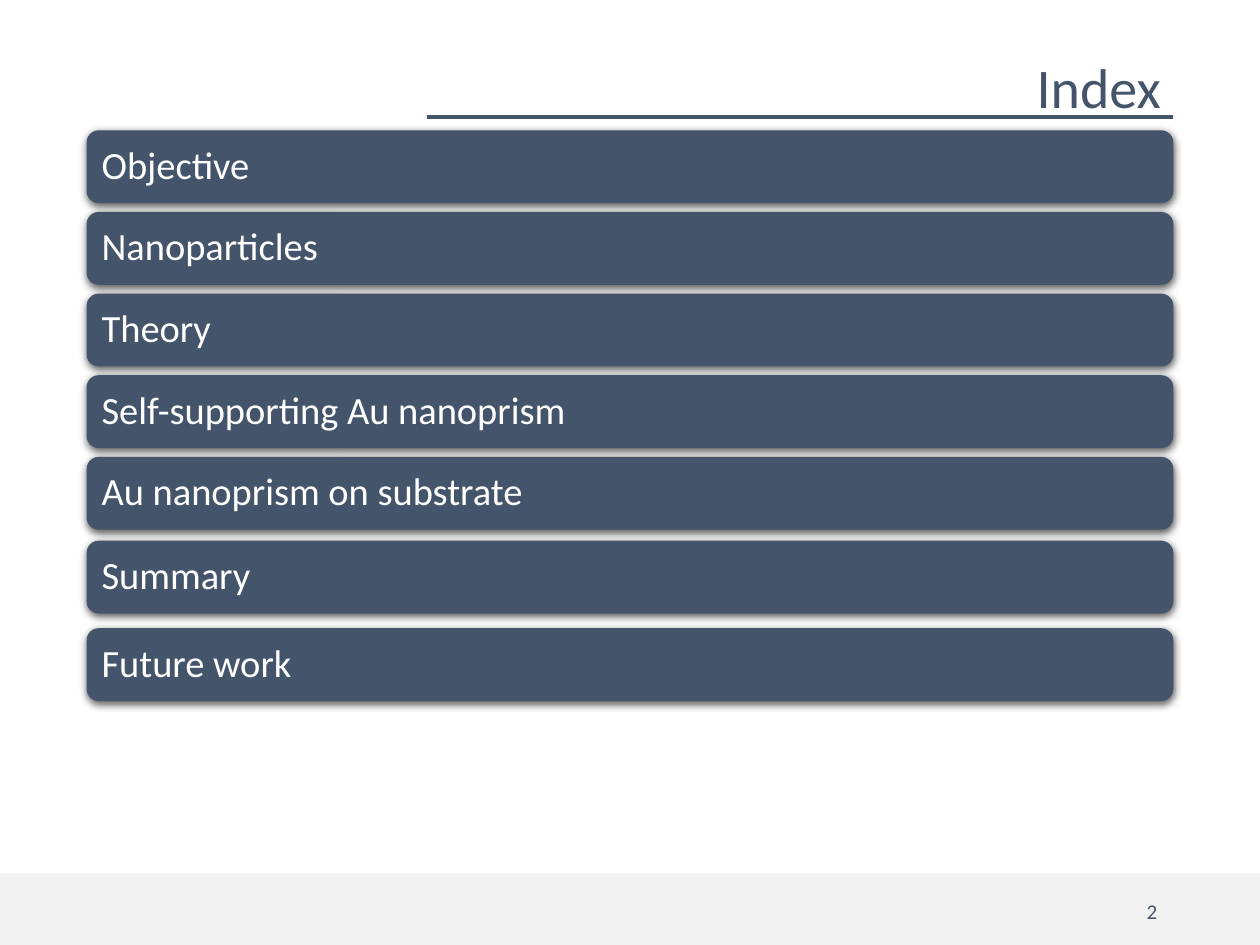
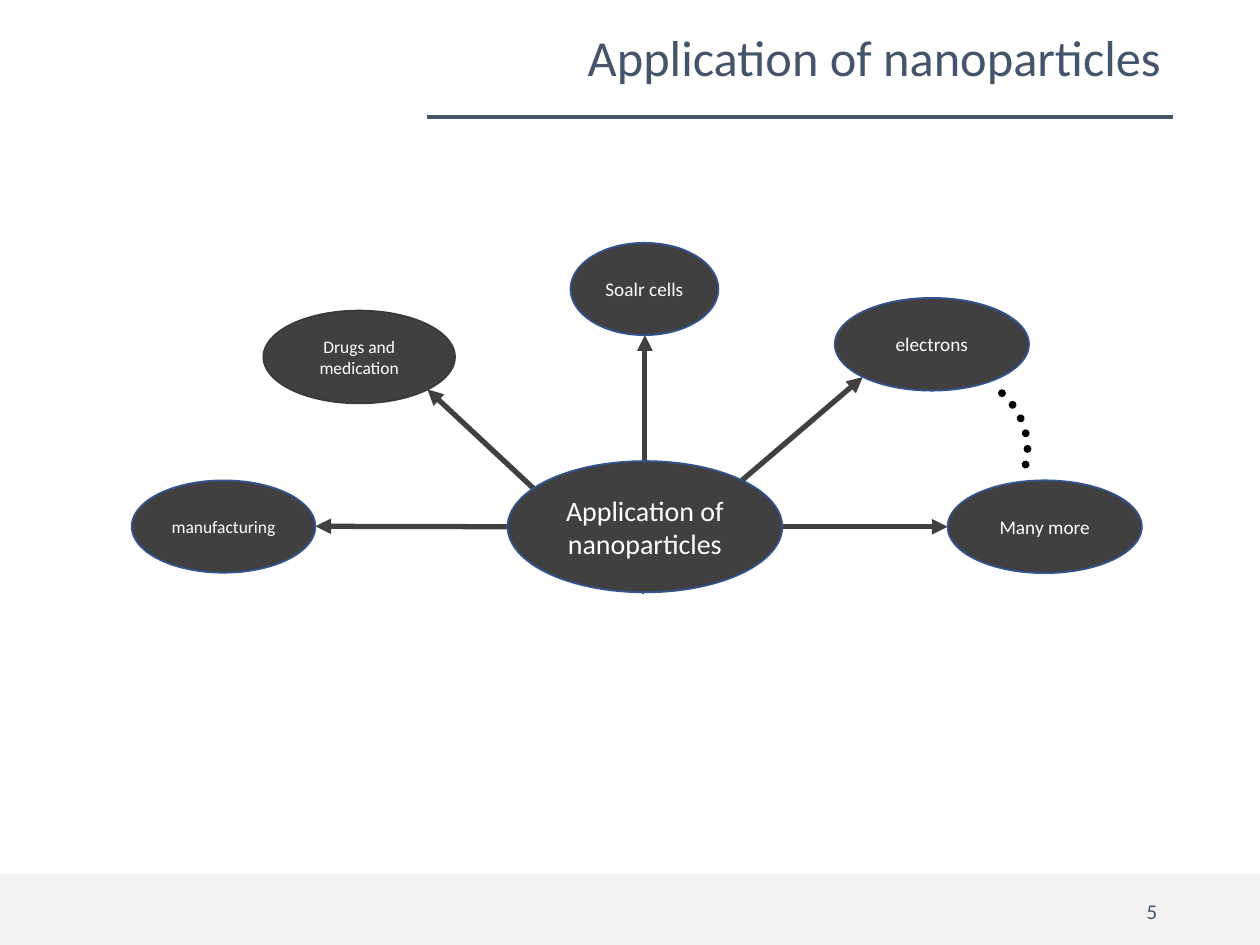
from dataclasses import dataclass
from typing import Any

from lxml.etree import SubElement
from pptx import Presentation
from pptx.dml.color import RGBColor
from pptx.enum.dml import MSO_LINE
from pptx.enum.shapes import MSO_CONNECTOR, MSO_SHAPE
from pptx.enum.text import MSO_ANCHOR as Anchor, PP_ALIGN as Align
from pptx.oxml.ns import qn
from pptx.util import Pt

SLATE = RGBColor(0x44, 0x54, 0x6A)
FOOTER_GREY = RGBColor(0xF2, 0xF2, 0xF2)
CHARCOAL = RGBColor(0x40, 0x40, 0x40)
BROWN_GREY = RGBColor(0x3B, 0x38, 0x38)
OUTLINE_BLUE = RGBColor(0x32, 0x54, 0x91)
WHITE = RGBColor(0xFF, 0xFF, 0xFF)
BLACK = RGBColor(0x00, 0x00, 0x00)
FONT = "Calibri"

MARGIN, CONTENT_WIDTH = 49.5, 621
BAR_HEIGHT, BAR_TOP, BAR_STEP = 41.6, 74.5, 46.65
TOPICS = ["Objective", "Nanoparticles", "Theory",
          "Self-supporting Au nanoprism", "Au nanoprism on substrate"]


@dataclass(frozen=True)
class Box:
    """A position and size in points."""
    left: float
    top: float
    width: float
    height: float

    def lengths(self) -> list[Pt]:
        """Return the four lengths for a shape call."""
        return [Pt(value) for value in (self.left, self.top, self.width, self.height)]


@dataclass(frozen=True)
class Bar:
    """A topic bar of the index."""
    text: str
    top: float


@dataclass(frozen=True)
class Bubble:
    """An ellipse of the application diagram."""
    text: str
    box: Box
    size: float
    outline: RGBColor = OUTLINE_BLUE


@dataclass(frozen=True)
class Arrow:
    """A straight arrow between two points."""
    start: tuple[float, float]
    end: tuple[float, float]


BARS = [Bar(text, BAR_TOP + row * BAR_STEP) for row, text in enumerate(TOPICS)]
BARS += [Bar("Summary", 309), Bar("Future work", 359)]

BUBBLES = [
    Bubble("Application of nanoparticles", Box(290, 263.5, 157, 75), 16),
    Bubble("Drugs and medication", Box(150.5, 177.5, 109.5, 53), 10, BROWN_GREY),
    Bubble("Soalr cells", Box(326, 138.75, 84.5, 52.75), 11),
    Bubble("manufacturing", Box(75.25, 274.5, 105, 52.75), 10),
    Bubble("electrons", Box(477, 170.25, 111, 53), 11),
    Bubble("Many more", Box(541.5, 274.5, 111, 53), 11),
]

ARROWS = [
    Arrow((368.5, 338.5), (244.25, 222.5)),
    Arrow((368.5, 338.5), (368.5, 191.5)),
    Arrow((290, 301), (180.25, 300.75)),
    Arrow((424, 274.5), (493, 215.5)),
    Arrow((447, 301), (541.5, 301)),
]


def apply_format(target: Any, values: dict[str, Any]) -> None:
    """Set each named attribute on the target."""
    for name, value in values.items():
        setattr(target, name, value)


def write_text(shape: Any, text: str, size: float, color: RGBColor,
               frame_format: dict[str, Any], paragraph_format: dict[str, Any]) -> None:
    """Fill a shape with one formatted paragraph."""
    frame = shape.text_frame
    apply_format(frame, {"word_wrap": True, "vertical_anchor": Anchor.MIDDLE, **frame_format})
    paragraph = frame.paragraphs[0]
    paragraph.text = text
    apply_format(paragraph, paragraph_format)
    apply_format(paragraph.font, {"name": FONT, "size": Pt(size)})
    paragraph.font.color.rgb = color


def add_filled(slide: Any, kind: MSO_SHAPE, box: Box, fill: RGBColor) -> Any:
    """Add a flat preset shape without an outline."""
    shape = slide.shapes.add_shape(kind, *box.lengths())
    shape.shadow.inherit = False
    shape.fill.solid()
    shape.fill.fore_color.rgb = fill
    shape.line.fill.background()
    return shape


def add_line(slide: Any, start: tuple[float, float], end: tuple[float, float],
             color: RGBColor, width: float) -> Any:
    """Add a straight line without a shadow."""
    points = [Pt(value) for value in (*start, *end)]
    connector = slide.shapes.add_connector(MSO_CONNECTOR.STRAIGHT, *points)
    connector.line.color.rgb = color
    connector.line.width = Pt(width)
    SubElement(connector._element.spPr, qn("a:effectLst"))
    return connector


def add_frame(presentation: Any, title: str, title_top: float, size: float, number: int) -> Any:
    """Add a slide with its title, rule and footer band."""
    slide = presentation.slides.add_slide(presentation.slide_layouts[6])
    add_line(slide, (244, 66.75), (670.5, 66.75), SLATE, 2.25)
    title_box = slide.shapes.add_textbox(*Box(MARGIN, title_top, CONTENT_WIDTH, 46).lengths())
    write_text(title_box, title, size, SLATE, {},
               {"alignment": Align.RIGHT, "line_spacing": 0.9})
    footer = add_filled(slide, MSO_SHAPE.RECTANGLE, Box(0, 499, 720, 43), FOOTER_GREY)
    write_text(footer, str(number), 12, SLATE, {"margin_left": Pt(655.2)},
               {"alignment": Align.LEFT})
    return slide


def add_bar(slide: Any, bar: Bar) -> None:
    """Add a rounded topic bar with a soft shadow."""
    box = Box(MARGIN, bar.top, CONTENT_WIDTH, BAR_HEIGHT)
    shape = add_filled(slide, MSO_SHAPE.ROUNDED_RECTANGLE, box, SLATE)
    effects = shape._element.spPr.find(qn("a:effectLst"))
    shadow = SubElement(effects, qn("a:outerShdw"), blurRad=str(Pt(4.5)), dist=str(Pt(1.5)),
                        dir="5400000", algn="ctr", rotWithShape="0")
    color = SubElement(shadow, qn("a:srgbClr"), val=str(BLACK))
    SubElement(color, qn("a:alpha"), val="63000")
    write_text(shape, bar.text, 22, WHITE, {"margin_left": Pt(6.6)},
               {"alignment": Align.LEFT, "line_spacing": 0.9})


def add_bubble(slide: Any, bubble: Bubble) -> None:
    """Add an outlined ellipse with centred text."""
    shape = add_filled(slide, MSO_SHAPE.OVAL, bubble.box, CHARCOAL)
    shape.line.color.rgb = bubble.outline
    shape.line.width = Pt(1)
    write_text(shape, bubble.text, bubble.size, WHITE, {}, {"alignment": Align.CENTER})


def add_arrow(slide: Any, arrow: Arrow) -> None:
    """Add a line with a triangle at its end."""
    connector = add_line(slide, arrow.start, arrow.end, CHARCOAL, 3)
    outline = connector._element.spPr.find(qn("a:ln"))
    SubElement(outline, qn("a:tailEnd"), type="triangle")


def add_dotted_arc(slide: Any) -> None:
    """Add the round-dotted arc that leads to further uses."""
    arc = slide.shapes.add_shape(MSO_SHAPE.ARC, *Box(502.5, 214, 85.5, 80).lengths())
    arc.shadow.inherit = False
    arc.rotation = 33.1
    arc.adjustments[0], arc.adjustments[1] = 167.95, 209.8
    arc.fill.background()
    arc.line.color.rgb = BLACK
    apply_format(arc.line, {"width": Pt(4.5), "dash_style": MSO_LINE.ROUND_DOT})
    arc._element.spPr.find(qn("a:ln")).set("cap", "rnd")


def build_index(presentation: Any) -> None:
    """Build the index slide."""
    slide = add_frame(presentation, "Index", 28.8, 32, 2)
    for bar in BARS:
        add_bar(slide, bar)


def build_applications(presentation: Any) -> None:
    """Build the diagram of nanoparticle applications."""
    slide = add_frame(presentation, "Application of nanoparticles", 11.5, 28.8, 5)
    for arrow in ARROWS:
        add_arrow(slide, arrow)
    for bubble in BUBBLES:
        add_bubble(slide, bubble)
    add_dotted_arc(slide)


def main() -> None:
    """Build and save the presentation."""
    presentation = Presentation()
    apply_format(presentation, {"slide_width": Pt(720), "slide_height": Pt(540)})
    build_index(presentation)
    build_applications(presentation)
    presentation.save("out.pptx")


if __name__ == "__main__":
    main()
